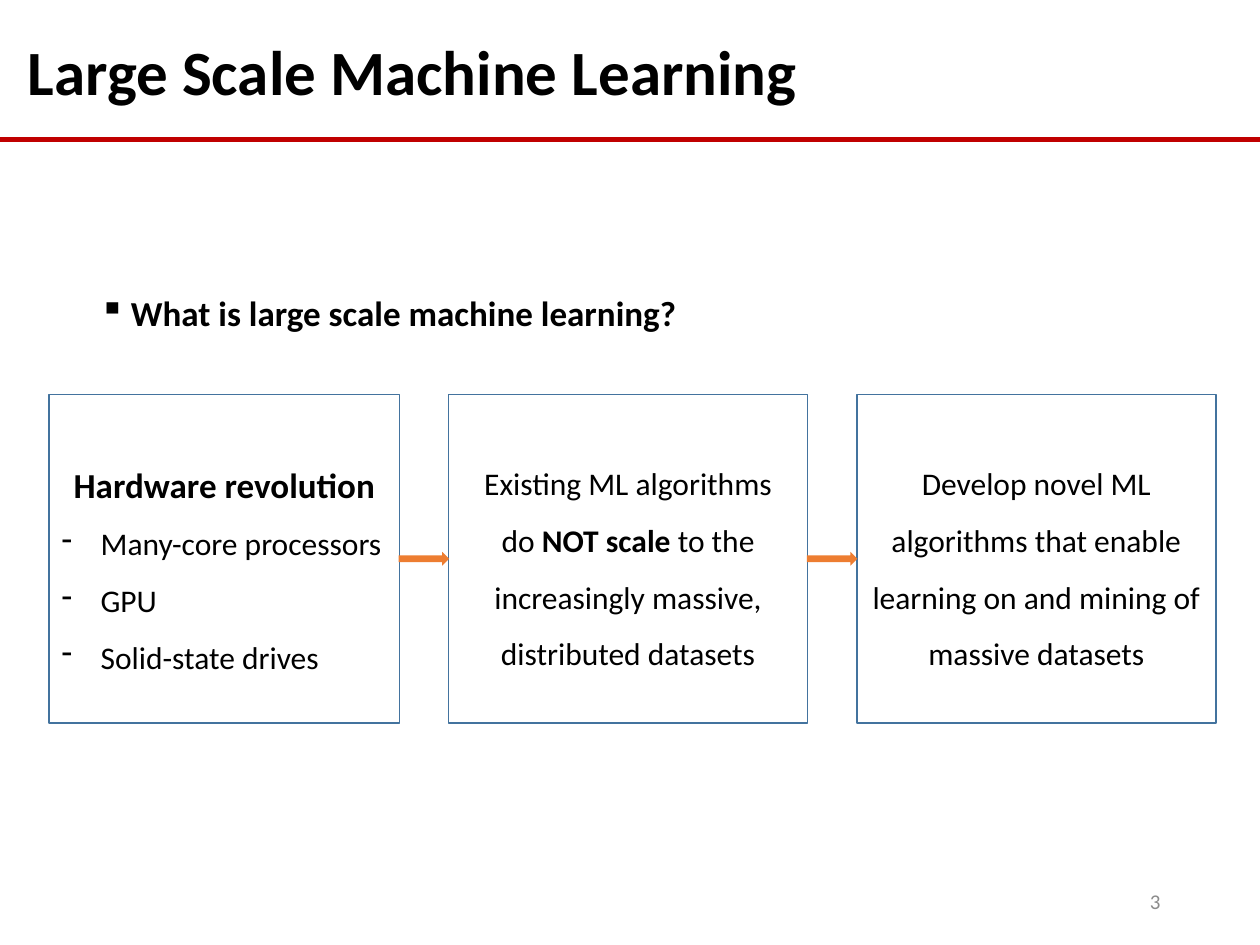
"""Build a slide on large scale machine learning as a three-step flow."""
from dataclasses import dataclass
from typing import Optional

from lxml.etree import SubElement
from pptx import Presentation
from pptx.dml.color import RGBColor
from pptx.enum.shapes import MSO_CONNECTOR, MSO_SHAPE
from pptx.enum.text import MSO_ANCHOR, MSO_AUTO_SIZE, PP_ALIGN
from pptx.oxml.ns import qn
from pptx.util import Inches, Pt

BLACK = RGBColor(0x00, 0x00, 0x00)
GRAY = RGBColor(0x8C, 0x8C, 0x8C)
RED = RGBColor(0xC0, 0x00, 0x00)
BLUE = RGBColor(0x43, 0x73, 0x9E)
ORANGE = RGBColor(0xED, 0x7D, 0x31)
FONT = "Calibri"
BOX_TOP, BOX_HEIGHT = 3.13, 2.61
ARROW_WIDTH, ARROW_HEIGHT = 0.4, 0.11


@dataclass(frozen=True)
class Run:
    text: str
    size: int = 18
    bold: bool = False
    color: RGBColor = BLACK


@dataclass(frozen=True)
class Para:
    runs: tuple[Run, ...]
    align: PP_ALIGN = PP_ALIGN.CENTER
    spacing: float = 1.5
    bullet: Optional[str] = None
    indent: float = 0


@dataclass(frozen=True)
class Step:
    left: float
    width: float
    paras: tuple[Para, ...]


def dash_item(text: str) -> Para:
    return Para((Run(text),), PP_ALIGN.LEFT, bullet="-", indent=0.31)


STEPS = (
    Step(0.39, 2.78, (
        Para((Run("Hardware revolution", 20, True),)),
        dash_item("Many-core processors"),
        dash_item("GPU"),
        dash_item("Solid-state drives"),
    )),
    Step(3.56, 2.85, (
        Para((Run("Existing ML algorithms"),)),
        Para((Run("do "), Run("NOT scale ", bold=True),
              Run("to the increasingly massive, distributed datasets"))),
    )),
    Step(6.8, 2.85, (
        Para((Run("Develop novel ML algorithms that enable learning on "
                  "and mining of massive datasets"),)),
    )),
)


def write(tf, paras: tuple[Para, ...], anchor: MSO_ANCHOR = MSO_ANCHOR.MIDDLE) -> None:
    tf.word_wrap = True
    tf.auto_size = MSO_AUTO_SIZE.NONE
    tf.vertical_anchor = anchor
    for i, para in enumerate(paras):
        p = tf.add_paragraph() if i else tf.paragraphs[0]
        p.alignment = para.align
        p.line_spacing = para.spacing
        if para.bullet:
            pPr = p._p.get_or_add_pPr()
            pPr.set("marL", str(Inches(para.indent)))
            pPr.set("indent", str(-Inches(para.indent)))
            SubElement(pPr, qn("a:buChar")).set("char", para.bullet)
        for run in para.runs:
            r = p.add_run()
            r.text = run.text
            r.font.name = FONT
            r.font.size = Pt(run.size)
            r.font.bold = run.bold
            r.font.color.rgb = run.color


def add_text(s, left: float, top: float, width: float, height: float,
             para: Para, anchor: MSO_ANCHOR) -> None:
    sp = s.shapes.add_textbox(Inches(left), Inches(top), Inches(width), Inches(height))
    write(sp.text_frame, (para,), anchor)


def add_title(s, text: str) -> None:
    sp = s.shapes.title
    sp.left, sp.top = Inches(0.12), Inches(0)
    sp.width, sp.height = Inches(9.75), Inches(1.11)
    write(sp.text_frame, (Para((Run(text, 36, True),), PP_ALIGN.LEFT, 1.0),))


def add_rule(s, top: float) -> None:
    line = s.shapes.add_connector(
        MSO_CONNECTOR.STRAIGHT, Inches(0), Inches(top), Inches(10), Inches(top))
    line.line.color.rgb = RED
    line.line.width = Pt(3)
    SubElement(line._element.spPr, qn("a:effectLst"))


def add_step(s, step: Step) -> None:
    sp = s.shapes.add_shape(
        MSO_SHAPE.RECTANGLE, Inches(step.left), Inches(BOX_TOP),
        Inches(step.width), Inches(BOX_HEIGHT))
    sp.shadow.inherit = False
    sp.fill.background()
    sp.line.color.rgb = BLUE
    sp.line.width = Pt(1)
    write(sp.text_frame, step.paras)


def add_arrow(s, before: Step, after: Step) -> None:
    center = (before.left + before.width + after.left) / 2
    middle = BOX_TOP + BOX_HEIGHT / 2
    sp = s.shapes.add_shape(
        MSO_SHAPE.RIGHT_ARROW, Inches(center - ARROW_WIDTH / 2),
        Inches(middle - ARROW_HEIGHT / 2), Inches(ARROW_WIDTH), Inches(ARROW_HEIGHT))
    sp.shadow.inherit = False
    sp.fill.solid()
    sp.fill.fore_color.rgb = ORANGE
    sp.line.fill.background()


def main() -> None:
    prs = Presentation()
    prs.slide_width, prs.slide_height = Inches(10), Inches(7.5)
    s = prs.slides.add_slide(prs.slide_layouts[5])
    add_rule(s, 1.11)
    add_title(s, "Large Scale Machine Learning")
    question = Run("What is large scale machine learning?", 20, True)
    add_text(s, 0.69, 2.23, 8.62, 1.2,
             Para((question,), PP_ALIGN.LEFT, 1.1, "▪", 0.25), MSO_ANCHOR.TOP)
    for step in STEPS:
        add_step(s, step)
    for before, after in zip(STEPS, STEPS[1:]):
        add_arrow(s, before, after)
    add_text(s, 7.06, 6.95, 2.25, 0.4,
             Para((Run("3", 12, color=GRAY),), PP_ALIGN.RIGHT, 1.0), MSO_ANCHOR.MIDDLE)
    prs.save("out.pptx")


if __name__ == "__main__":
    main()
